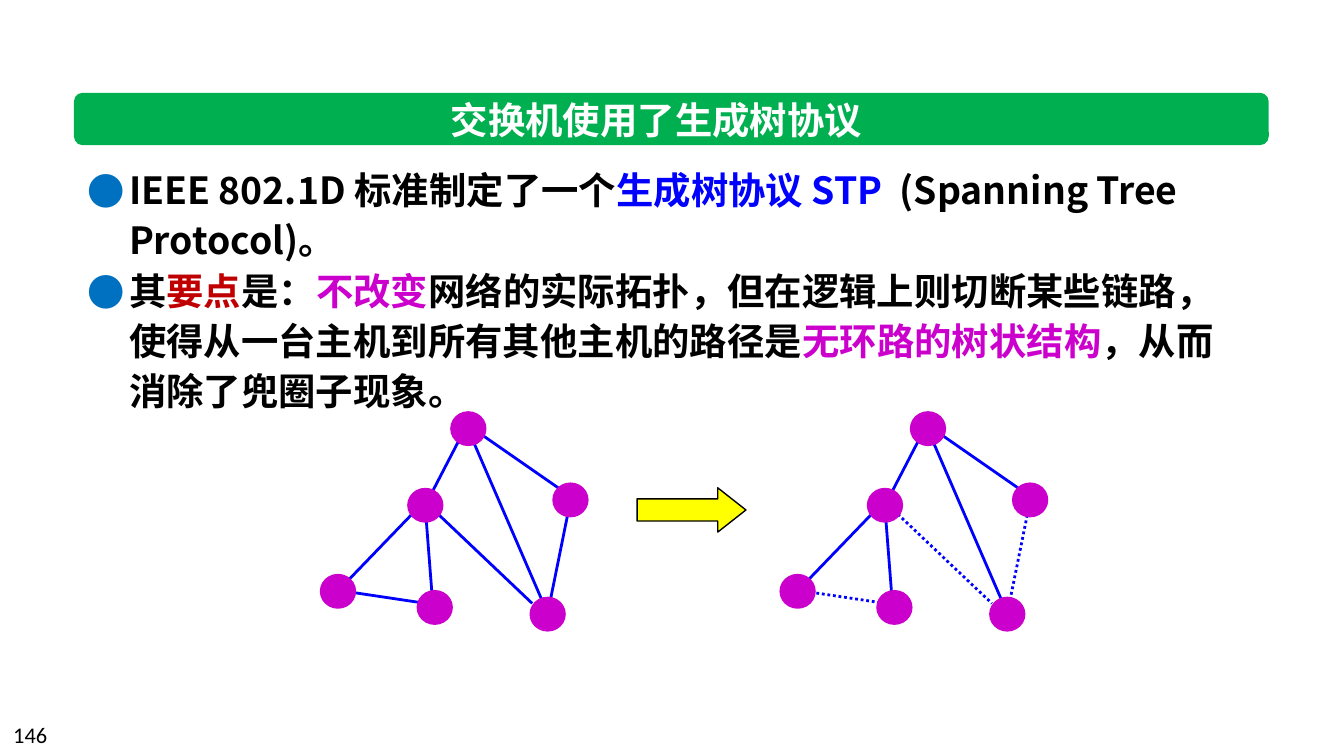
from lxml.etree import SubElement
from pptx import Presentation
from pptx.dml.color import RGBColor
from pptx.enum.dml import MSO_LINE
from pptx.enum.shapes import MSO_CONNECTOR, MSO_SHAPE
from pptx.enum.text import MSO_ANCHOR, MSO_AUTO_SIZE, PP_ALIGN
from pptx.oxml.ns import qn
from pptx.util import Inches, Pt

WIDTH = Inches(10)
HEIGHT = Inches(5.625)
CELL = WIDTH / 100
CJK = "Noto Sans CJK SC"
COLORS = {
    "black": "000000",
    "white": "FFFFFF",
    "banner": "00B050",
    "bullet": "0070C0",
    "blue": "0000FF",
    "red": "C00000",
    "magenta": "CC00CC",
    "yellow": "FFFF00",
}
POINTS = [
    [("IEEE 802.1D 标准制定了一个", "black"), ("生成树协议 STP  ", "blue"),
     ("(Spanning Tree Protocol)。", "black")],
    [("其", "black"), ("要点", "red"), ("是：", "black"), ("不改变", "magenta"),
     ("网络的实际拓扑，但在逻辑上则切断某些链路，使得从一台主机到所有其他主机的路径是", "black"),
     ("无环路的树状结构", "magenta"), ("，从而消除了兜圈子现象。", "black")],
]
NODE_SIZE = (2.7, 2.6)
NODES = [(33.5, 30.6), (41.1, 35.9), (39.4, 44.4), (23.8, 42.7), (31, 43.9), (30.3, 36.3)]
TREE_LINKS = [
    (34.6, 31.9, 31.7, 37.5),
    (35.2, 31.9, 42.4, 36.9),
    (35.2, 32.8, 40.3, 44.6),
    (25.7, 43.4, 31, 37.9),
    (32.2, 44.9, 31.6, 37.2),
]
CUT_LINKS = [
    (31.7, 37.4, 39.6, 44.9),
    (42.4, 37.5, 40.8, 45.4),
    (31.7, 44.9, 25.7, 44),
]
TREE_SHIFT = 34.2


def cells(*counts):
    return [round(n * CELL) for n in counts]


def rgb(name):
    return RGBColor.from_string(COLORS[name])


def place(sp, *box):
    sp.left, sp.top, sp.width, sp.height = cells(*box)


def style_run(r, size, color, font=CJK, bold=True):
    r.font.size, r.font.bold, r.font.name = Pt(size), bold, font
    r.font.color.rgb = rgb(color)
    SubElement(r._r.get_or_add_rPr(), qn("a:ea"), typeface=font)


def add_block(shapes, kind, box, fill, outline=None):
    sp = shapes.add_shape(kind, *cells(*box))
    sp.shadow.inherit = False
    sp.fill.solid()
    sp.fill.fore_color.rgb = rgb(fill)
    if outline:
        sp.line.color.rgb = rgb(outline)
        sp.line.width = Pt(0.75)
    else:
        sp.line.fill.background()
    return sp


def add_link(shapes, ends, dash=None):
    link = shapes.add_connector(MSO_CONNECTOR.STRAIGHT, *cells(*ends))
    link.line.color.rgb = rgb("blue")
    link.line.width = Pt(1.5)
    if dash:
        link.line.dash_style = dash
    SubElement(link.element.spPr, qn("a:effectLst"))


def add_network(s, shift=0, cut_dash=None):
    shapes = s.shapes.add_group_shape().shapes
    for links, dash in ((TREE_LINKS, None), (CUT_LINKS, cut_dash)):
        for x1, y1, x2, y2 in links:
            add_link(shapes, (x1 + shift, y1, x2 + shift, y2), dash)
    for x, y in NODES:
        add_block(shapes, MSO_SHAPE.OVAL, (x + shift, y, *NODE_SIZE), "magenta")


def add_title(s):
    banner = add_block(s.shapes, MSO_SHAPE.ROUNDED_RECTANGLE, (5.5, 6.9, 88.9, 3.9), "banner")
    title = s.shapes.title
    title.element.addprevious(banner.element)
    place(title, 32.4, 6.7, 32.9, 4.4)
    tf = title.text_frame
    tf.text = "交换机使用了生成树协议"
    tf.word_wrap = False
    tf.auto_size = MSO_AUTO_SIZE.NONE
    tf.vertical_anchor = MSO_ANCHOR.MIDDLE
    p = tf.paragraphs[0]
    p.alignment = PP_ALIGN.CENTER
    style_run(p.runs[0], 20, "white")


def format_bullet(p):
    p.line_spacing = Pt(27)
    p.space_before = Pt(0)
    pPr = p._p.get_or_add_pPr()
    indent = Inches(0.31)
    pPr.set("marL", str(indent))
    pPr.set("indent", str(-indent))
    SubElement(SubElement(pPr, qn("a:buClr")), qn("a:srgbClr"), val=COLORS["bullet"])
    SubElement(pPr, qn("a:buFont"), typeface=CJK)
    SubElement(pPr, qn("a:buChar"), char="●")


def fill_body(body):
    place(body, 5.5, 11.5, 88.5, 19.9)
    tf = body.text_frame
    tf.auto_size = MSO_AUTO_SIZE.NONE
    tf.vertical_anchor = MSO_ANCHOR.TOP
    for i, parts in enumerate(POINTS):
        p = tf.add_paragraph() if i else tf.paragraphs[0]
        format_bullet(p)
        for text, color in parts:
            r = p.add_run()
            r.text = text
            style_run(r, 20, color)


def add_page_number(s):
    tf = s.shapes.add_textbox(*cells(0, 53.2, 23.3, 3)).text_frame
    tf.word_wrap = True
    tf.text = "146"
    style_run(tf.paragraphs[0].runs[0], 12, "black", "Calibri", False)


def main():
    prs = Presentation()
    prs.slide_width, prs.slide_height = WIDTH, HEIGHT
    s = prs.slides.add_slide(prs.slide_layouts[1])
    add_title(s)
    fill_body(s.placeholders[1])
    arrow = add_block(s.shapes, MSO_SHAPE.RIGHT_ARROW, (47.4, 36.3, 8.1, 3.3), "yellow", "black")
    arrow.adjustments[1] = 0.635
    add_network(s)
    add_network(s, TREE_SHIFT, MSO_LINE.ROUND_DOT)
    add_page_number(s)
    prs.save("out.pptx")


if __name__ == "__main__":
    main()
